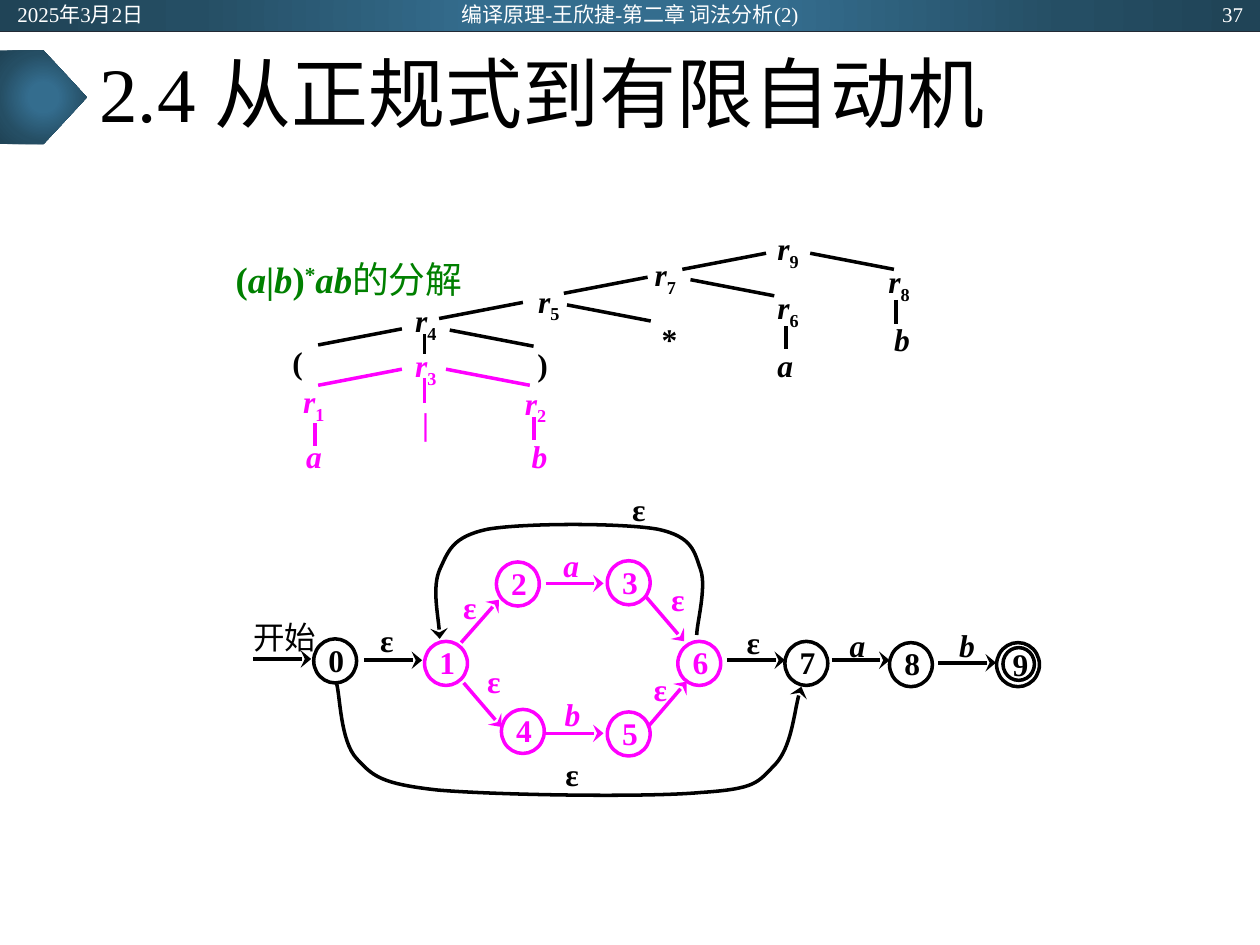
from lxml import etree
from pptx import Presentation
from pptx.dml.color import RGBColor
from pptx.enum.shapes import MSO_CONNECTOR, MSO_SHAPE
from pptx.enum.text import MSO_ANCHOR, PP_ALIGN
from pptx.oxml.ns import qn
from pptx.util import Inches, Pt

LINE = MSO_CONNECTOR.STRAIGHT
RECTANGLE, PENTAGON, OVAL = MSO_SHAPE.RECTANGLE, MSO_SHAPE.PENTAGON, MSO_SHAPE.OVAL
LEFT, CENTER, RIGHT, JUSTIFY = PP_ALIGN.LEFT, PP_ALIGN.CENTER, PP_ALIGN.RIGHT, PP_ALIGN.JUSTIFY
TOP, MIDDLE = MSO_ANCHOR.TOP, MSO_ANCHOR.MIDDLE

BLACK = RGBColor(0, 0, 0)
WHITE = RGBColor(255, 255, 255)
MAGENTA = RGBColor(255, 0, 255)
GREEN = RGBColor(0, 128, 0)
SLATE = RGBColor(0x22, 0x2A, 0x35)
TEAL = RGBColor(0x34, 0x6D, 0x8E)
DEEP_TEAL = RGBColor(0x25, 0x4E, 0x64)
DARK_TEAL = RGBColor(0x20, 0x44, 0x57)
GLOW = [(0, TEAL), (23, TEAL), (69, DEEP_TEAL), (97, DARK_TEAL)]

FONT = "Times New Roman"
COLUMNS, ROWS = 100, 75
SUBSCRIPT, SUPERSCRIPT = -25, 30
LABEL_INSETS = (0.04, 0.02, 0.04, 0.02)
NODE_INSETS = (0.04, 0.01, 0.04, 0.01)
STATE_INSETS = (0.04, 0.02, 0.02, 0.04)
STATE_SIZE = (3.4, 3.5)
BRANCH_RUN, BRANCH_DROP = 6.65, 1.28
ARROW_RUN = 4.6


def write(shape, *pieces, size=18, color=BLACK, bold=False, align=LEFT, anchor=MIDDLE,
          insets=(0.1, 0.05, 0.1, 0.05), spacing=None):
    """Fill a shape with strings or (text, format) pieces on one line."""
    frame = shape.text_frame
    frame.word_wrap, frame.vertical_anchor = True, anchor
    frame.margin_left, frame.margin_top, frame.margin_right, frame.margin_bottom = map(Inches, insets)
    paragraph = frame.paragraphs[0]
    paragraph.alignment, paragraph.line_spacing = align, spacing
    for piece in pieces:
        text, look = (piece, {}) if isinstance(piece, str) else piece
        run = paragraph.add_run()
        run.text = text
        run.font.name, run.font.size, run.font.color.rgb = FONT, Pt(size), color
        run.font.bold = look.get("bold", bold)
        run.font.italic = look.get("italic", False)
        if "raised" in look:
            run._r.get_or_add_rPr().set("baseline", str(look["raised"] * 1000))


def italic(text):
    return text, {"italic": True}


def variable(index):
    return italic("r"), (str(index), {"raised": SUBSCRIPT})


class Diagram:
    """Holds the slide and draws on a grid of 100 columns by 75 rows."""

    def __init__(self, presentation):
        self.slide = presentation.slides.add_slide(presentation.slide_layouts[6])
        self.shapes = self.slide.shapes
        self.column = presentation.slide_width / COLUMNS
        self.row = presentation.slide_height / ROWS

    def start_group(self):
        """Send the shapes that follow to a new group."""
        self.shapes = self.slide.shapes.add_group_shape().shapes

    def place(self, x, y):
        return round(x * self.column), round(y * self.row)

    def text(self, x, y, width, height, *pieces, **look):
        box = self.shapes.add_textbox(*self.place(x, y), *self.place(width, height))
        write(box, *pieces, **look)

    def glow(self, kind, x, y, width, height):
        shape = self.shapes.add_shape(kind, *self.place(x, y), *self.place(width, height))
        shape.shadow.inherit = False
        shape.line.fill.background()
        shape.fill.background()
        gradient = etree.Element(qn("a:gradFill"), rotWithShape="1")
        stops = etree.SubElement(gradient, qn("a:gsLst"))
        for position, color in GLOW:
            stop = etree.SubElement(stops, qn("a:gs"), pos=str(position * 1000))
            etree.SubElement(stop, qn("a:srgbClr"), val=str(color))
        circle = etree.SubElement(gradient, qn("a:path"), path="circle")
        etree.SubElement(circle, qn("a:fillToRect"), l="50000", t="50000", r="50000", b="50000")
        properties = shape._element.spPr
        properties.replace(properties.find(qn("a:noFill")), gradient)

    def stroke(self, shape, color, width, arrow):
        shape.line.color.rgb, shape.line.width = color, Pt(width)
        if arrow:
            etree.SubElement(shape.line._get_or_add_ln(), qn("a:tailEnd"),
                             type="stealth", w="lg", len="med")

    def line(self, x, y, across, down, color=BLACK, width=2, arrow=False):
        connector = self.shapes.add_connector(LINE, *self.place(x, y), *self.place(x + across, y + down))
        self.stroke(connector, color, width, arrow)
        etree.SubElement(connector._element.spPr, qn("a:effectLst"))

    def curve(self, *points):
        """An arrow from the first point; every three more points make one cubic curve."""
        start, *rest = [self.place(*point) for point in points]
        builder = self.shapes.build_freeform(*start)
        builder.add_line_segments(rest, close=False)
        shape = builder.convert_to_shape()
        segments = list(shape._element.iter(qn("a:lnTo")))
        for first in range(0, len(segments), 3):
            cubic = etree.Element(qn("a:cubicBezTo"))
            segments[first].addprevious(cubic)
            for segment in segments[first:first + 3]:
                cubic.append(segment[0])
                segment.getparent().remove(segment)
        shape.shadow.inherit = False
        shape.fill.background()
        self.stroke(shape, BLACK, 2, True)

    def state(self, x, y, name="", color=BLACK, size=STATE_SIZE, insets=STATE_INSETS):
        circle = self.shapes.add_shape(OVAL, *self.place(x, y), *self.place(*size))
        circle.shadow.inherit = False
        circle.fill.background()
        self.stroke(circle, color, 2, False)
        if name:
            write(circle, name, color=color, bold=True, align=CENTER, insets=insets)

    def label(self, x, y, piece, color=BLACK, width=3, bold=True):
        self.text(x, y, width, 2.9, piece, color=color, bold=bold, align=CENTER, insets=LABEL_INSETS)

    def node(self, x, y, *pieces, color=BLACK):
        self.text(x, y, 3.8, 2.3, *pieces, color=color, bold=True, align=JUSTIFY,
                  anchor=TOP, insets=NODE_INSETS)


def draw_frame(diagram):
    # Header band, title marker and title
    diagram.glow(RECTANGLE, 0, 0, COLUMNS, 2.5)
    diagram.line(0, 2.5, COLUMNS, 0, SLATE, 0.5)
    diagram.glow(PENTAGON, 0, 4, 6.9, 7.45)
    diagram.text(6.9, 2.55, 86.2, 10.4, "2.4 从正规式到有限自动机", size=44, spacing=0.9)
    for x, width, text, align in ((0.4, 22.5, "2025年3月2日", LEFT),
                                  (33.1, 33.8, "编译原理-王欣捷-第二章 词法分析(2)", CENTER),
                                  (77.2, 22.45, "37", RIGHT)):
        diagram.text(x, 0.1, width, 2, text, size=12, color=WHITE, align=align)


def draw_automaton(diagram):
    diagram.start_group()
    # States, the last one with a double ring
    for name, x, y, color in (("0", 24.9, 50.7, BLACK), ("1", 33.7, 50.9, MAGENTA), ("2", 39.4, 44.6, MAGENTA),
                              ("3", 48.2, 44.5, MAGENTA), ("4", 39.8, 56.3, MAGENTA),
                              ("5", 48.2, 56.5, MAGENTA), ("6", 53.8, 50.9, MAGENTA),
                              ("7", 62.3, 50.9, BLACK), ("8", 70.6, 51, BLACK), ("", 79.1, 51, BLACK)):
        diagram.state(x, y, name, color)
    diagram.state(79.6, 51.4, "9", size=(2.5, 2.6), insets=(0.04, 0, 0.01, 0))
    # Level moves
    for x, y, color in ((20.1, 52.3, BLACK), (28.9, 52.4, BLACK), (57.7, 52.4, BLACK), (66, 52.4, BLACK),
                        (74.45, 52.6, BLACK), (43.3, 46.3, MAGENTA), (43.3, 58.2, MAGENTA)):
        diagram.line(x, y, ARROW_RUN, 0, color, arrow=True)
    # Slanted moves
    for x, y, drop in ((36.6, 51, -3.4), (51.3, 47.4, 3.5), (51.5, 57.6, -3.5), (36.8, 54.2, 3.5)):
        diagram.line(x, y, 3, drop, MAGENTA, arrow=True)
    # Skip from 0 to 7, and loop from 6 back to 1
    diagram.curve((26.7, 54.2),
                  (27, 55.2), (27, 58.8), (28.3, 60.2),
                  (29.6, 61.6), (30.2, 62.2), (34.7, 62.7),
                  (39.3, 63.1), (51.2, 63.3), (55.6, 62.9),
                  (60.1, 62.6), (60.1, 62.1), (61.5, 60.7),
                  (62.8, 59.3), (63.1, 55.8), (63.6, 54.5))
    diagram.curve((55.3, 50.4),
                  (55.3, 49.5), (56.1, 46.6), (55.6, 45.2),
                  (55.1, 43.8), (55, 42.6), (52.2, 42),
                  (49.4, 41.5), (41.6, 41.5), (38.7, 42),
                  (35.9, 42.6), (35.6, 43.7), (34.9, 45.2),
                  (34.3, 46.6), (34.9, 49.5), (34.9, 50.7))
    # Move labels
    diagram.label(18.3, 49.1, "开始", width=8.6, bold=False)
    for x, y, color in ((29.2, 49.3, BLACK), (43.9, 60, BLACK), (58.3, 49.5, BLACK), (49.2, 38.9, BLACK),
                        (35.8, 46.7, MAGENTA), (37.7, 52.6, MAGENTA), (52.3, 46.1, MAGENTA),
                        (50.9, 53.2, MAGENTA)):
        diagram.label(x, y, "ε", color)
    for letter, x, y, color in (("a", 44, 43.4, MAGENTA), ("b", 44.1, 55.2, MAGENTA),
                                ("a", 66.7, 49.7, BLACK), ("b", 75.4, 49.7, BLACK)):
        diagram.label(x, y, italic(letter), color, width=2.7)


def draw_tree(diagram):
    diagram.start_group()
    # Nodes
    for index, x, y, color in ((9, 61.3, 18.1, BLACK), (8, 70.1, 20.7, BLACK), (7, 51.55, 20.15, BLACK),
                               (6, 61.3, 22.8, BLACK), (5, 42.3, 22.25, BLACK), (4, 32.55, 23.8, BLACK),
                               (3, 32.55, 27.4, MAGENTA), (2, 41.25, 30.35, MAGENTA),
                               (1, 23.65, 30.25, MAGENTA)):
        diagram.node(x, y, *variable(index), color=color)
    # Leaves
    for piece, x, y, color in (("*", 52.1, 25.3, BLACK), (")", 42.25, 27.3, BLACK), ("(", 22.8, 27.15, BLACK),
                               ("|", 33.1, 32, MAGENTA), (italic("a"), 23.9, 34.6, MAGENTA),
                               (italic("b"), 41.8, 34.6, MAGENTA), (italic("a"), 61.3, 27.4, BLACK),
                               (italic("b"), 70.55, 25.3, BLACK)):
        diagram.node(x, y, piece, color=color)
    # Branches: side is -1 to the left and 1 to the right
    for x, y, side, color in ((60.8, 20.1, -1, BLACK), (64.3, 20.1, 1, BLACK), (51.4, 22, -1, BLACK),
                              (54.8, 22.2, 1, BLACK), (41.5, 24, -1, BLACK), (45, 24.2, 1, BLACK),
                              (31.9, 26.1, -1, BLACK), (35.7, 26.2, 1, BLACK),
                              (31.9, 29.3, -1, MAGENTA), (35.4, 29.3, 1, MAGENTA)):
        diagram.line(x, y, side * BRANCH_RUN, BRANCH_DROP, color)
    # Stems
    for x, y, length, color in ((33.7, 26.5, 1.6, BLACK), (71.1, 23.8, 1.9, BLACK), (62.4, 25.9, 1.8, BLACK),
                                (33.7, 30, 2, MAGENTA), (42.4, 33.1, 1.8, MAGENTA), (25, 33.6, 1.8, MAGENTA)):
        diagram.line(x, y, 0, length, color)
    # Caption
    diagram.text(16.9, 20.2, 21.7, 4.1, "(", italic("a"), "|", italic("b"), ")",
                 ("*", {"raised": SUPERSCRIPT}), italic("ab"), ("的分解", {"bold": False}),
                 size=21, color=GREEN, bold=True, align=CENTER, anchor=TOP, insets=(0.06, 0.02, 0.07, 0.04))


if __name__ == "__main__":
    presentation = Presentation()
    presentation.slide_width, presentation.slide_height = Inches(10), Inches(7.5)
    diagram = Diagram(presentation)
    draw_frame(diagram)
    draw_automaton(diagram)
    draw_tree(diagram)
    presentation.save("out.pptx")
